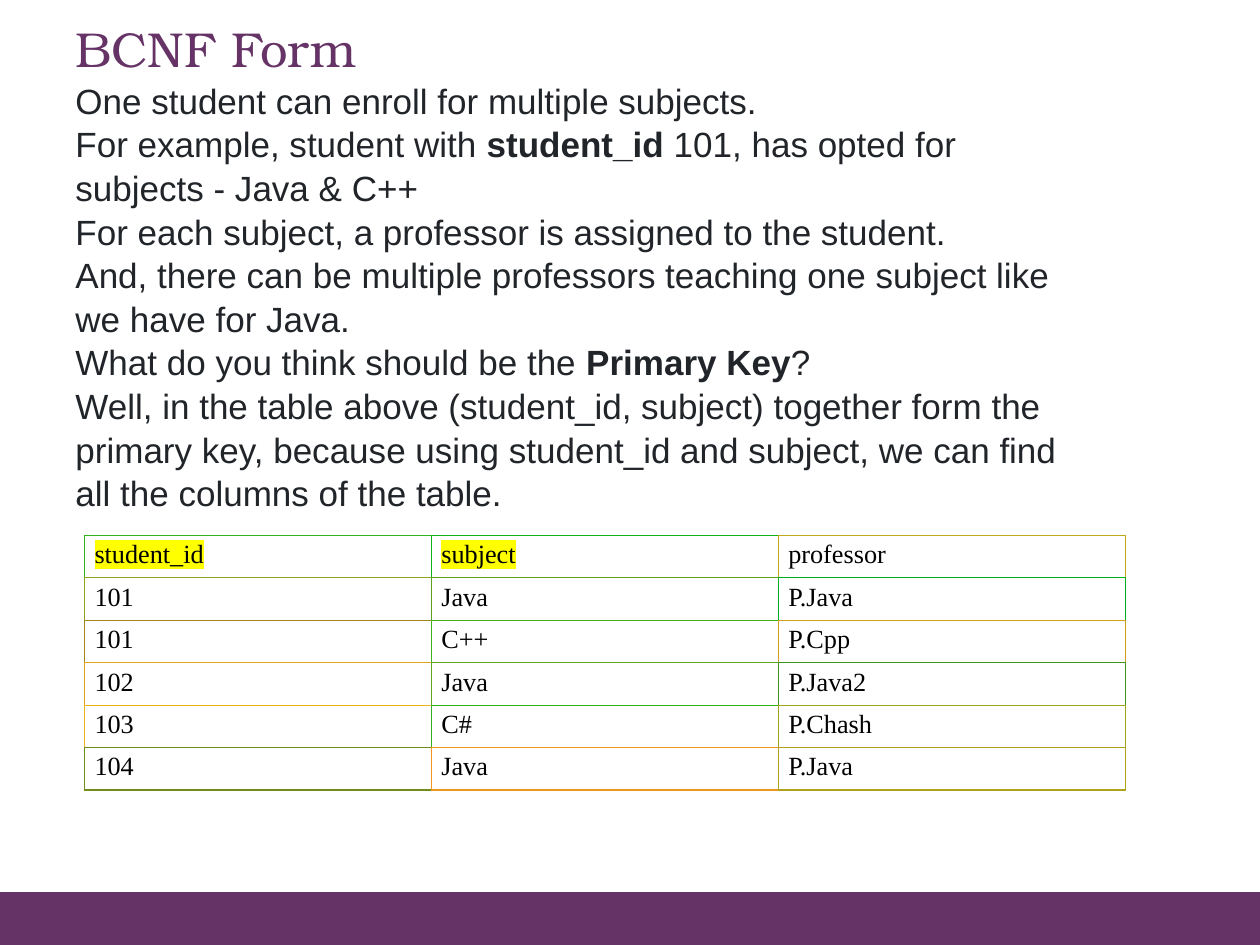
from lxml import etree
from pptx import Presentation
from pptx.dml.color import RGBColor
from pptx.enum.shapes import MSO_SHAPE
from pptx.enum.text import MSO_ANCHOR, PP_ALIGN
from pptx.oxml.ns import qn
from pptx.util import Inches, Pt

RECTANGLE = MSO_SHAPE.RECTANGLE
TOP = MSO_ANCHOR.TOP
LEFT = PP_ALIGN.LEFT

PURPLE = RGBColor(0x66, 0x33, 0x66)
CHARCOAL = RGBColor(0x21, 0x25, 0x29)
BLACK = RGBColor(0, 0, 0)
WHITE = RGBColor(0xFF, 0xFF, 0xFF)
YELLOW = RGBColor(0xFF, 0xFF, 0)

HEADING_FORMAT = {"name": "TeX Gyre Bonum", "size": Pt(28), "bold": False}
BODY_FORMAT = {"name": "Arial", "size": Pt(20), "bold": False}
STRONG_FORMAT = {**BODY_FORMAT, "bold": True}
CELL_FORMAT = {"name": "Times New Roman", "size": Pt(15), "bold": False}
CELL_LAYOUT = {
    "margin_left": Inches(0.08), "margin_right": Inches(0.08),
    "margin_top": Inches(0.04), "margin_bottom": Inches(0.04),
    "vertical_anchor": TOP,
}

EXPLANATION = [
    ["One student can enroll for multiple subjects. "],
    ["For example, student with ", "student_id",
     " 101, has opted for subjects - Java & C++"],
    ["For each subject, a professor is assigned to the student."],
    ["And, there can be multiple professors teaching one subject like "
     "we have for Java."],
    ["What do you think should be the ", "Primary Key", "?"],
    ["Well, in the table above (student_id, subject) together form the "
     "primary key, because using student_id and subject, we can find "
     "all the columns of the table."],
]

ENROLMENTS = [
    ["student_id", "subject", "professor"],
    ["101", "Java", "P.Java"],
    ["101", "C++", "P.Cpp"],
    ["102", "Java", "P.Java2"],
    ["103", "C#", "P.Chash"],
    ["104", "Java", "P.Java"],
]
KEY_COLUMNS = ("student_id", "subject")
BORDER_COLORS = [
    [RGBColor.from_string(code) for code in row.split()]
    for row in (
        "30B31B 10AF1B C0A91B",
        "90A21B 609F1B 00B01B",
        "A0851B 40B31B D09E1B",
        "E0A51B 60A51B 40941B",
        "F0B21B 30B01B A0A41B",
        "708C1B F0971B B0A21B",
    )
]


def apply_format(target, values):
    """Set each attribute named in values on target."""
    for attribute, value in values.items():
        setattr(target, attribute, value)


def add_run(paragraph, text, font_format, color):
    """Append a formatted run to a paragraph."""
    run = paragraph.add_run()
    run.text = text
    apply_format(run.font, font_format)
    run.font.color.rgb = color
    return run


def highlight(run, color):
    """Mark a run with a highlight colour."""
    marker = etree.Element(qn("a:highlight"))
    etree.SubElement(marker, qn("a:srgbClr"), val=str(color))
    run.font.fill._xPr.find(qn("a:solidFill")).addnext(marker)


def set_borders(cell, colors):
    """Draw the left, right, top and bottom borders of a cell."""
    properties = cell._tc.get_or_add_tcPr()
    for index, (side, color) in enumerate(zip("LRTB", colors)):
        line = etree.Element(qn(f"a:ln{side}"), w=str(Pt(0.75)))
        fill = etree.SubElement(line, qn("a:solidFill"))
        etree.SubElement(fill, qn("a:srgbClr"), val=str(color))
        properties.insert(index, line)


def add_footer_band(slide, left, top, width, height):
    """Place the plain band along the foot of the slide."""
    band = slide.shapes.add_shape(RECTANGLE, left, top, width, height)
    band.shadow.inherit = False
    band.fill.solid()
    band.fill.fore_color.rgb = PURPLE
    band.line.fill.background()


def add_explanation(slide, left, top, width, height):
    """Place the heading and the explanation below it."""
    frame = slide.shapes.add_textbox(left, top, width, height).text_frame
    apply_format(frame, {"word_wrap": True, "vertical_anchor": TOP})
    paragraph = frame.paragraphs[0]
    apply_format(paragraph, {"alignment": LEFT, "line_spacing": 1.04})
    add_run(paragraph, "BCNF Form", HEADING_FORMAT, PURPLE)
    for sentence in EXPLANATION:
        paragraph.add_line_break()
        for index, text in enumerate(sentence):
            font_format = STRONG_FORMAT if index % 2 else BODY_FORMAT
            add_run(paragraph, text, font_format, CHARCOAL)


def add_enrolment_table(slide, left, top, width, height):
    """Place the enrolment table, each border taking its neighbour's colour."""
    last_row, last_column = len(ENROLMENTS) - 1, len(ENROLMENTS[0]) - 1
    table = slide.shapes.add_table(
        last_row + 1, last_column + 1, left, top, width, height).table
    apply_format(table, {"first_row": False, "horz_banding": False})
    for row, record in enumerate(ENROLMENTS):
        for column, text in enumerate(record):
            cell = table.cell(row, column)
            apply_format(cell, CELL_LAYOUT)
            cell.fill.solid()
            cell.fill.fore_color.rgb = WHITE
            own = BORDER_COLORS[row][column]
            right = BORDER_COLORS[row][min(column + 1, last_column)]
            below = BORDER_COLORS[min(row + 1, last_row)][column]
            set_borders(cell, (own, right, own, below))
            paragraph = cell.text_frame.paragraphs[0]
            paragraph.alignment = LEFT
            run = add_run(paragraph, text, CELL_FORMAT, BLACK)
            if text in KEY_COLUMNS:
                highlight(run, YELLOW)


def main():
    """Build the BCNF slide and save it."""
    presentation = Presentation()
    presentation.slide_width = Inches(10)
    presentation.slide_height = Inches(7.5)
    slide = presentation.slides.add_slide(presentation.slide_layouts[6])
    add_footer_band(slide, Inches(0), Inches(7.08), Inches(10), Inches(0.42))
    add_explanation(
        slide, Inches(0.5), Inches(0.08), Inches(8.18), Inches(3.83))
    add_enrolment_table(
        slide, Inches(0.67), Inches(4.25), Inches(8.26), Inches(2.02))
    presentation.save("out.pptx")


if __name__ == "__main__":
    main()
